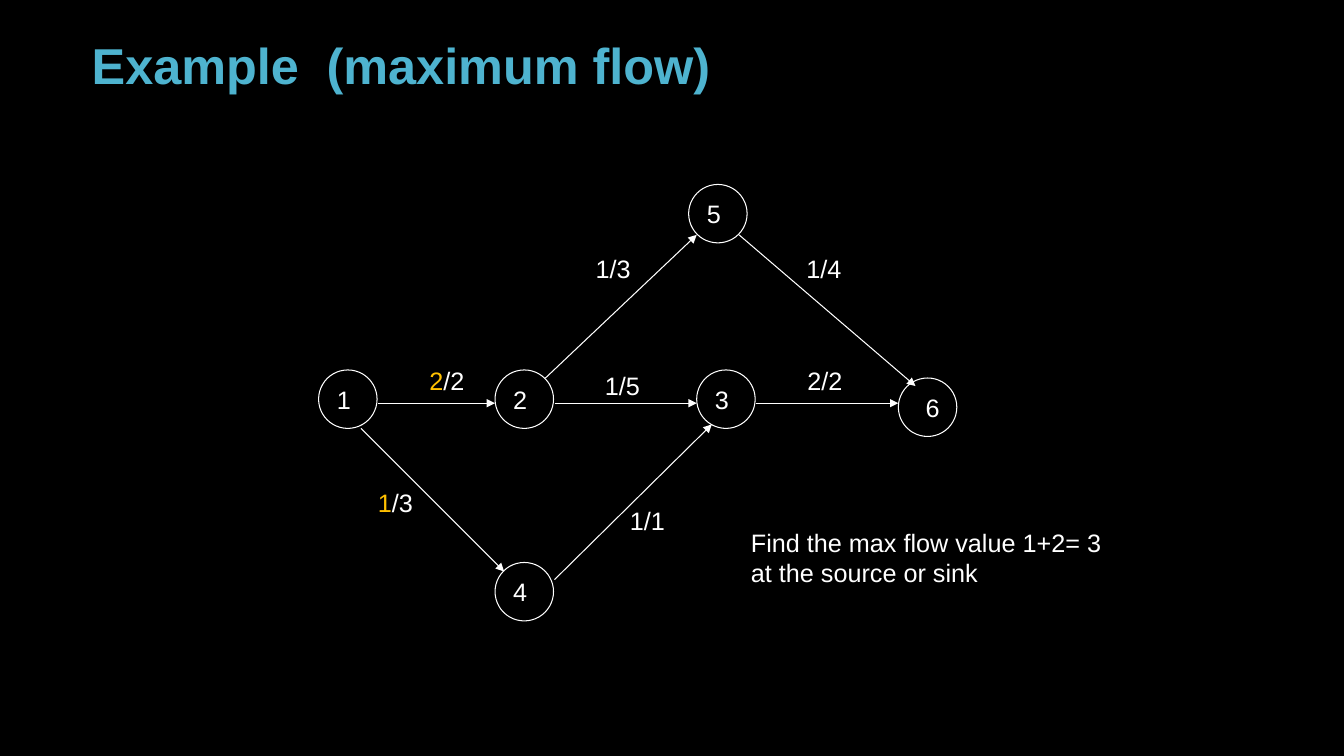
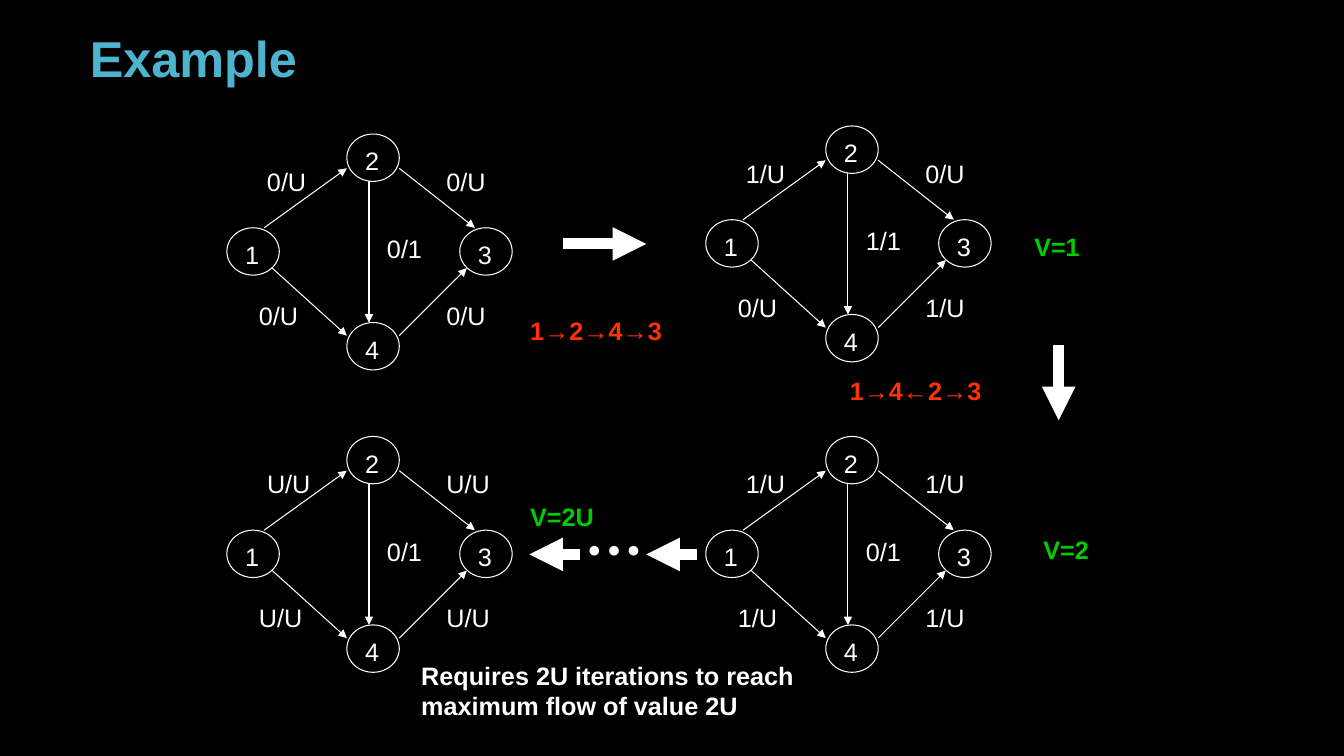
from dataclasses import dataclass
from lxml.etree import SubElement
from pptx import Presentation
from pptx.dml.color import RGBColor
from pptx.enum.shapes import MSO_CONNECTOR, MSO_SHAPE
from pptx.enum.text import MSO_ANCHOR, MSO_AUTO_SIZE, PP_ALIGN
from pptx.oxml.ns import qn
from pptx.util import Pt


@dataclass(frozen=True)
class Theme:
    font: str = "Arial"
    back: str = "000000"
    ink: str = "FFFFFF"
    title: str = "4EB3CF"
    gold: str = "FFC000"
    red: str = "FF3300"
    green: str = "00CC00"
    head: int = 36
    body: int = 18
    dot: int = 16
    thin: float = 0.75
    thick: int = 8


T = Theme()
PX = 9144
SIZE = (1333, 750)

FLOW = {
    "title": ("Example\t(maximum flow)", (81, 21, 1000, 79)),
    "tab": 233,
    "node": (58, 58),
    "nodes": [
        ("1", 316, 367, -4), ("2", 491, 367, -4), ("3", 691, 367, -4),
        ("4", 491, 558, -4), ("5", 683, 183, -4), ("6", 891, 375, 5),
    ],
    "edges": [
        ((358, 425), (500, 567)), ((375, 400), (491, 400)),
        ((541, 375), (691, 233)), ((550, 400), (691, 400)),
        ((550, 575), (706, 421)), ((750, 400), (891, 400)),
        ((733, 233), (908, 383)),
    ],
    "labels": [
        ("2/2", 416, 358, T.gold), ("1/3", 365, 479, T.gold),
        ("2/2", 791, 358, T.ink), ("1/1", 615, 496, T.ink),
        ("1/5", 590, 362, T.ink), ("1/3", 581, 246, T.ink),
        ("1/4", 790, 246, T.ink),
    ],
    "note": ("Find the max flow value 1+2= 3\nat the source or sink",
             (735, 518, 373, 71)),
}

STEPS = {
    "title": ("Example", (79, 43, 830, 50)),
    "node": (52, 47),
    "nodes": [("1", 0, 93), ("2", 119, 0), ("3", 231, 93), ("4", 119, 187)],
    "edges": [
        ((37, 93), (119, 34)), ((171, 34), (246, 93)),
        ((141, 47), (141, 187)), ((171, 200), (238, 133)),
        ((45, 133), (119, 200)),
    ],
    "spots": [(30, 27), (208, 27), (149, 94), (208, 160), (22, 160)],
    "graphs": [
        (225, 133, ["0/U", "0/U", "0/1", "0/U", "0/U"]),
        (700, 125, ["1/U", "0/U", "1/1", "1/U", "0/U"]),
        (700, 433, ["1/U", "1/U", "0/1", "1/U", "1/U"]),
        (225, 433, ["U/U", "U/U", "0/1", "U/U", "U/U"]),
    ],
    "arrows": [
        ((558, 242), (641, 242)), ((1050, 342), (1050, 417)),
        ((691, 550), (641, 550)), ((575, 550), (525, 550)),
    ],
    "notes": [
        ("1→2→4→3", (516, 308, 167, 40), T.red),
        ("1→4←2→3", (833, 367, 167, 40), T.red),
        ("V=1", (1016, 225, 70, 40), T.green),
        ("V=2", (1025, 525, 70, 40), T.green),
        ("V=2U", (516, 492, 90, 40), T.green),
        ("Requires 2U iterations to reach maximum flow of value 2U",
         (408, 650, 400, 70), T.ink),
    ],
    "dots": ("● ● ●", (573, 526, 85, 40)),
}


def emu(*nums):
    return [round(n * PX) for n in nums]


def style(font, color=T.ink, size=T.body, bold=False):
    font.name, font.size, font.bold = T.font, Pt(size), bold
    font.color.rgb = RGBColor.from_string(color)


def write(shapes, text, box, *look):
    frame = shapes.add_textbox(*emu(*box)).text_frame
    frame.word_wrap = True
    frame.text = text
    for para in frame.paragraphs:
        style(para.font, *look)


def label(shapes, text, x, y, color=T.ink):
    box = (x, y, 60 + 4 * text.count("U"), 40)
    if color == T.ink:
        write(shapes, text, box)
        return
    frame = shapes.add_textbox(*emu(*box)).text_frame
    frame.word_wrap = True
    for part, tint in ((text[0], color), (text[1:], T.ink)):
        run = frame.paragraphs[0].add_run()
        run.text = part
        style(run.font, tint)


def node(shapes, text, x, y, size, dx=0, dy=0):
    ring = shapes.add_shape(MSO_SHAPE.OVAL, *emu(x, y, *size))
    ring.shadow.inherit = False
    ring.fill.background()
    ring.line.color.rgb = RGBColor.from_string(T.ink)
    ring.line.width = Pt(T.thin)
    frame = ring.text_frame
    frame.word_wrap = False
    frame.vertical_anchor = MSO_ANCHOR.MIDDLE
    frame.margin_left, frame.margin_right = emu(max(2 * dx, 0), max(-2 * dx, 0))
    frame.margin_top, frame.margin_bottom = emu(max(2 * dy, 0), 0)
    frame.text = text
    para = frame.paragraphs[0]
    para.alignment = PP_ALIGN.CENTER
    style(para.font)


def arrow(shapes, start, end, width=T.thin):
    link = shapes.add_connector(MSO_CONNECTOR.STRAIGHT, *emu(*start, *end))
    link.line.color.rgb = RGBColor.from_string(T.ink)
    link.line.width = Pt(width)
    SubElement(link.line._get_or_add_ln(), qn("a:tailEnd"), type="triangle")
    SubElement(link._element.spPr, qn("a:effectLst"))


def begin(deck, data):
    slide = deck.slides.add_slide(deck.slide_layouts[5])
    title = slide.shapes.title
    text, box = data["title"]
    title.left, title.top, title.width, title.height = emu(*box)
    frame = title.text_frame
    frame.text = text
    frame.auto_size = MSO_AUTO_SIZE.NONE
    frame.vertical_anchor = MSO_ANCHOR.BOTTOM
    para = frame.paragraphs[0]
    if "tab" in data:
        tabs = SubElement(para._p.get_or_add_pPr(), qn("a:tabLst"))
        SubElement(tabs, qn("a:tab"), pos=str(data["tab"] * PX), algn="l")
    para.alignment = PP_ALIGN.LEFT
    para.line_spacing = 0.9
    style(para.font, T.title, T.head, True)
    return slide.shapes


def flow(deck):
    shapes = begin(deck, FLOW)
    for text, x, y, dx in FLOW["nodes"]:
        node(shapes, text, x, y, FLOW["node"], dx)
    for start, end in FLOW["edges"]:
        arrow(shapes, start, end)
    for item in FLOW["labels"]:
        label(shapes, *item)
    write(shapes, *FLOW["note"])


def graph(shapes, left, top, labels):
    def move(spot):
        return left + spot[0], top + spot[1]

    for text, *spot in STEPS["nodes"]:
        node(shapes, text, *move(spot), STEPS["node"], -1, 3)
    for start, end in STEPS["edges"]:
        arrow(shapes, move(start), move(end))
    for text, spot in zip(labels, STEPS["spots"]):
        label(shapes, text, *move(spot))


def steps(deck):
    shapes = begin(deck, STEPS)
    for item in STEPS["graphs"]:
        graph(shapes.add_group_shape().shapes, *item)
    for start, end in STEPS["arrows"]:
        arrow(shapes, start, end, T.thick)
    for text, box, color in STEPS["notes"]:
        write(shapes, text, box, color, T.body, True)
    write(shapes, *STEPS["dots"], T.ink, T.dot)


def main():
    deck = Presentation()
    deck.slide_width, deck.slide_height = emu(*SIZE)
    fill = deck.slide_master.background.fill
    fill.solid()
    fill.fore_color.rgb = RGBColor.from_string(T.back)
    flow(deck)
    steps(deck)
    deck.save("out.pptx")


if __name__ == "__main__":
    main()
